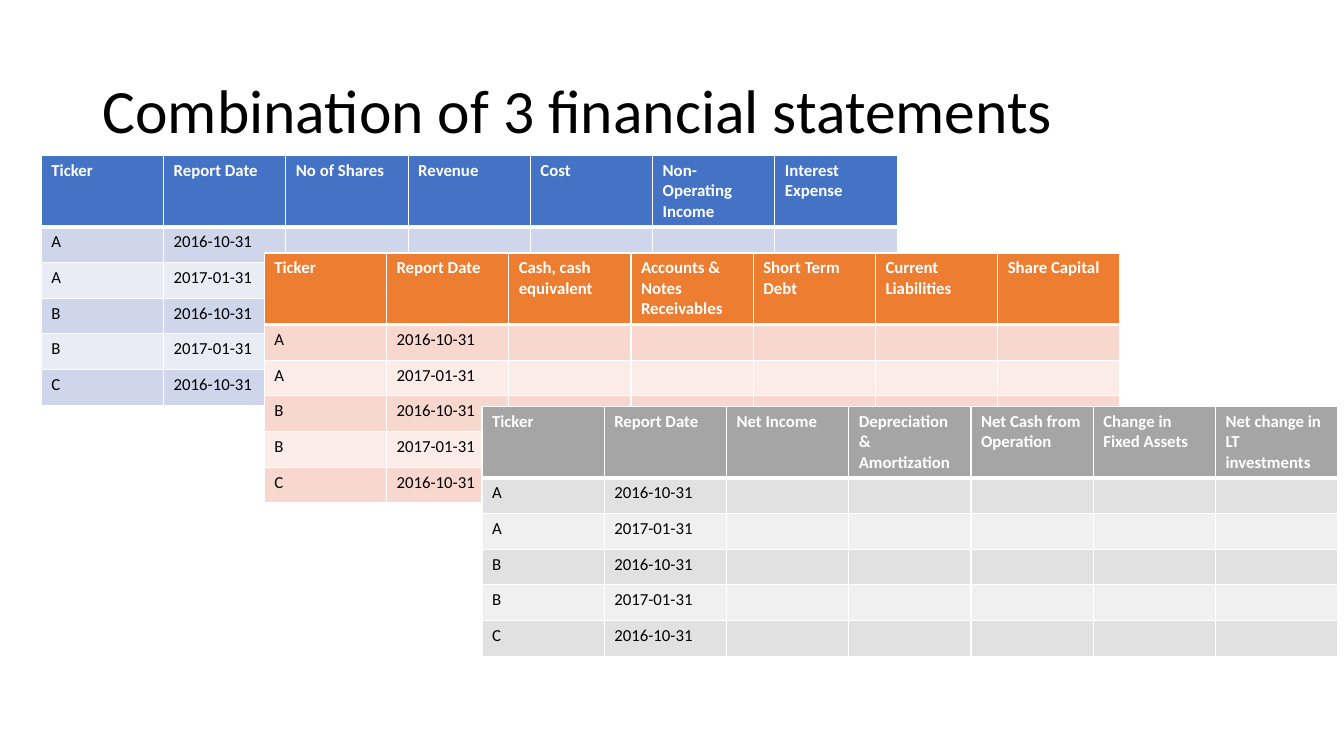
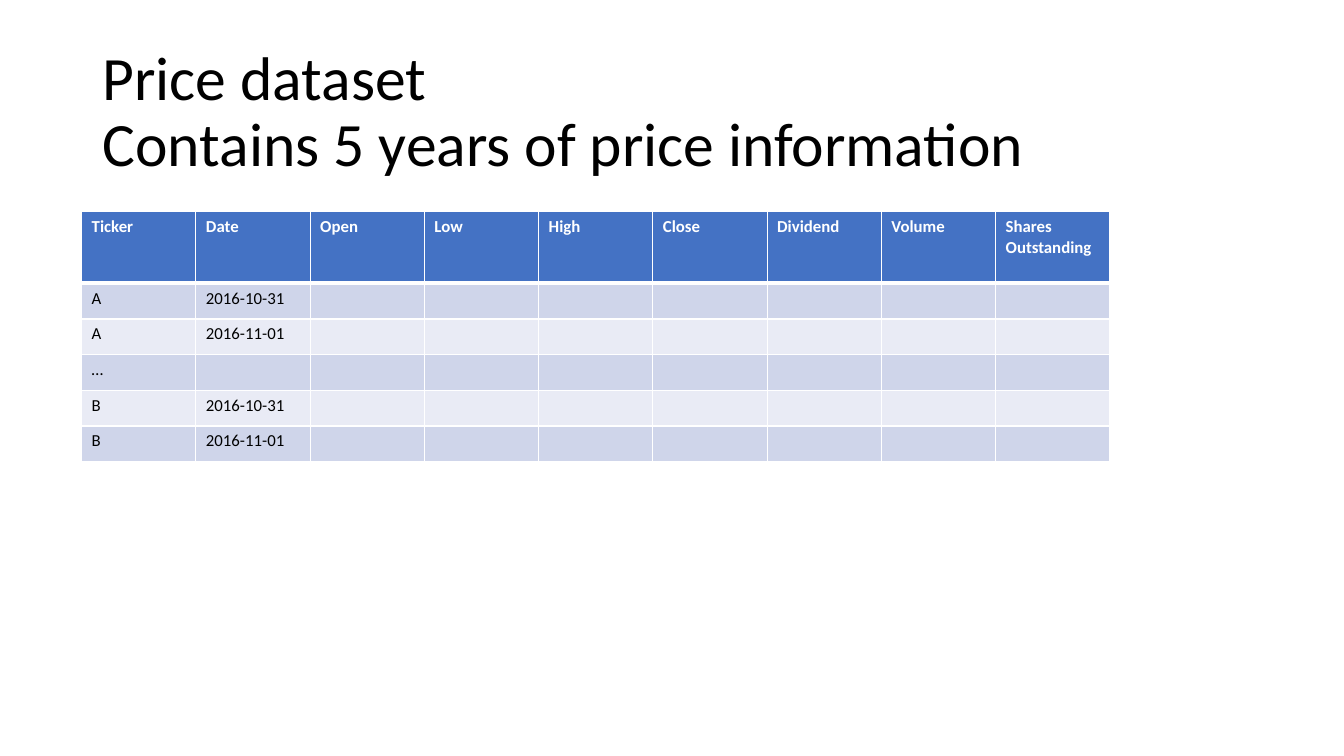
from dataclasses import dataclass

from lxml.etree import SubElement
from pptx import Presentation
from pptx.dml.color import RGBColor
from pptx.enum.text import MSO_ANCHOR
from pptx.oxml.ns import qn
from pptx.slide import Slide
from pptx.table import _Cell
from pptx.text.text import Font
from pptx.util import Inches, Pt

COLORS = {
    "text": "000000", "white": "FFFFFF",
    "blue": "4472C4", "blue_band": "CFD5EA", "blue_pale": "E9EBF5",
    "orange": "ED7D31", "orange_band": "F8D7CE", "orange_pale": "FCECE8",
    "gray": "A5A5A5", "gray_band": "E1E1E1", "gray_pale": "F0F0F0",
}
TITLE = {"name": "Calibri", "size": Pt(44)}
BODY = {"name": "Calibri", "size": Pt(12), "bold": False}
HEADER = {**BODY, "bold": True}
THIN, THICK = 1, 3
HEADER_HEIGHT, TABLE_HEIGHT = 0.71, 2.48

STATEMENT_ROWS = [
    ("A", "2016-10-31"), ("A", "2017-01-31"),
    ("B", "2016-10-31"), ("B", "2017-01-31"), ("C", "2016-10-31"),
]
PRICE_ROWS = [
    ("A", "2016-10-31"), ("A", "2016-11-01"), ("…",),
    ("B", "2016-10-31"), ("B", "2016-11-01"),
]


@dataclass(frozen=True)
class DataTable:
    """A table with a coloured header and banded rows."""
    left: float
    top: float
    width: float
    theme: str
    headers: list[str]
    rows: list[tuple[str, ...]]


@dataclass(frozen=True)
class Page:
    """A slide title and the tables below it."""
    title: str
    tables: list[DataTable]


PAGES = [
    Page("Combination of 3 financial statements", [
        DataTable(0.41, 1.54, 8.49, "blue",
                  ["Ticker", "Report Date", "No of Shares", "Revenue", "Cost",
                   "Non-Operating Income", "Interest Expense"], STATEMENT_ROWS),
        DataTable(2.62, 2.51, 8.49, "orange",
                  ["Ticker", "Report Date", "Cash, cash equivalent",
                   "Accounts & Notes Receivables", "Short Term Debt",
                   "Current Liabilities", "Share Capital"], STATEMENT_ROWS),
        DataTable(4.78, 4.03, 8.49, "gray",
                  ["Ticker", "Report Date", "Net Income",
                   "Depreciation & Amortization", "Net Cash from Operation",
                   "Change in Fixed Assets", "Net change in LT investments"],
                  STATEMENT_ROWS),
    ]),
    Page("Price dataset\vContains 5 years of price information", [
        DataTable(0.81, 2.1, 10.2, "blue",
                  ["Ticker", "Date", "Open", "Low", "High", "Close", "Dividend",
                   "Volume", "Shares Outstanding"], PRICE_ROWS),
    ]),
]


def rgb(name: str) -> RGBColor:
    """Look up a named colour."""
    return RGBColor.from_string(COLORS[name])


def style_font(font: Font, values: dict, color: str) -> None:
    """Apply format values and a colour to a font."""
    for key, value in values.items():
        setattr(font, key, value)
    font.color.rgb = rgb(color)


def add_title(s: Slide, text: str) -> None:
    """Add the slide title, centred vertically in its band."""
    sp = s.shapes.add_textbox(Inches(0.92), Inches(0.4), Inches(11.5), Inches(1.45))
    tf = sp.text_frame
    tf.word_wrap = True
    tf.vertical_anchor = MSO_ANCHOR.MIDDLE
    p = tf.paragraphs[0]
    p.text = text
    p.line_spacing = 0.9
    for r in p.runs:
        style_font(r.font, TITLE, "text")


def set_borders(cell: _Cell, top: int, bottom: int) -> None:
    """Draw white borders, with thin sides."""
    props = cell._tc.get_or_add_tcPr()
    for side, width in (("L", THIN), ("R", THIN), ("T", top), ("B", bottom)):
        line = SubElement(props, qn(f"a:ln{side}"), w=str(Pt(width)))
        fill = SubElement(line, qn("a:solidFill"))
        SubElement(fill, qn("a:srgbClr"), val=COLORS["white"])


def fill_cell(cell: _Cell, text: str, values: dict, color: str, fill: str) -> None:
    """Fill a cell and write its text; an empty cell keeps the text size."""
    cell.fill.solid()
    cell.fill.fore_color.rgb = rgb(fill)
    p = cell.text_frame.paragraphs[0]
    if text:
        r = p.add_run()
        r.text = text
        style_font(r.font, values, color)
    else:
        SubElement(p._p, qn("a:endParaRPr"), sz=str(int(values["size"].pt * 100)))


def add_data_table(s: Slide, data: DataTable) -> None:
    """Add a table with equal columns and equal body rows."""
    n_rows, n_cols = len(data.rows) + 1, len(data.headers)
    table = s.shapes.add_table(
        n_rows, n_cols, Inches(data.left), Inches(data.top),
        Inches(data.width), Inches(TABLE_HEIGHT)).table
    table.first_row = table.horz_banding = False
    for column in table.columns:
        column.width = Inches(data.width / n_cols)
    body_height = (TABLE_HEIGHT - HEADER_HEIGHT) / len(data.rows)

    for i, texts in enumerate([data.headers, *data.rows]):
        is_header = i == 0
        table.rows[i].height = Inches(HEADER_HEIGHT if is_header else body_height)
        values, color = (HEADER, "white") if is_header else (BODY, "text")
        shade = "" if is_header else "_band" if i % 2 else "_pale"
        for j in range(n_cols):
            cell = table.cell(i, j)
            set_borders(cell, THICK if i == 1 else THIN, THICK if is_header else THIN)
            text = texts[j] if j < len(texts) else ""
            fill_cell(cell, text, values, color, data.theme + shade)


def main() -> None:
    """Build and save the presentation."""
    prs = Presentation()
    prs.slide_width, prs.slide_height = Inches(13.33), Inches(7.5)
    for page in PAGES:
        s = prs.slides.add_slide(prs.slide_layouts[6])
        add_title(s, page.title)
        for data in page.tables:
            add_data_table(s, data)
    prs.save("out.pptx")


main()
